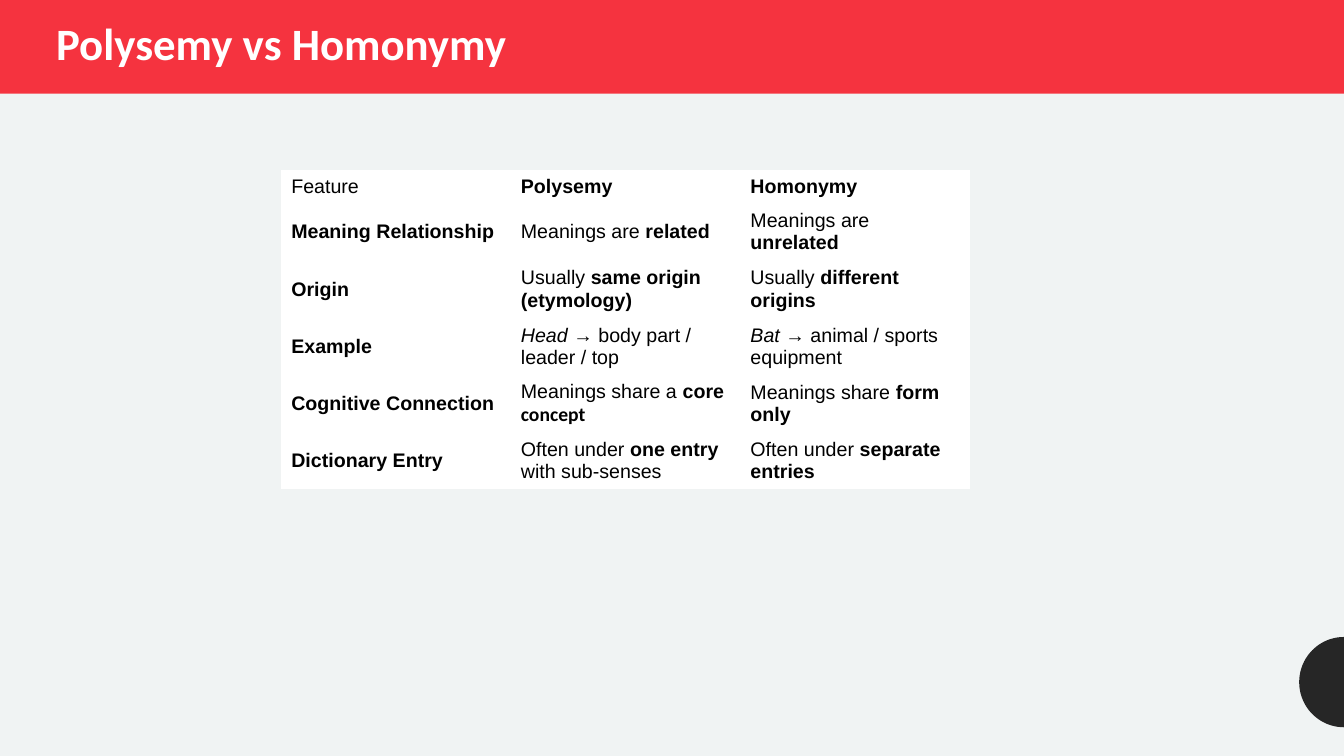
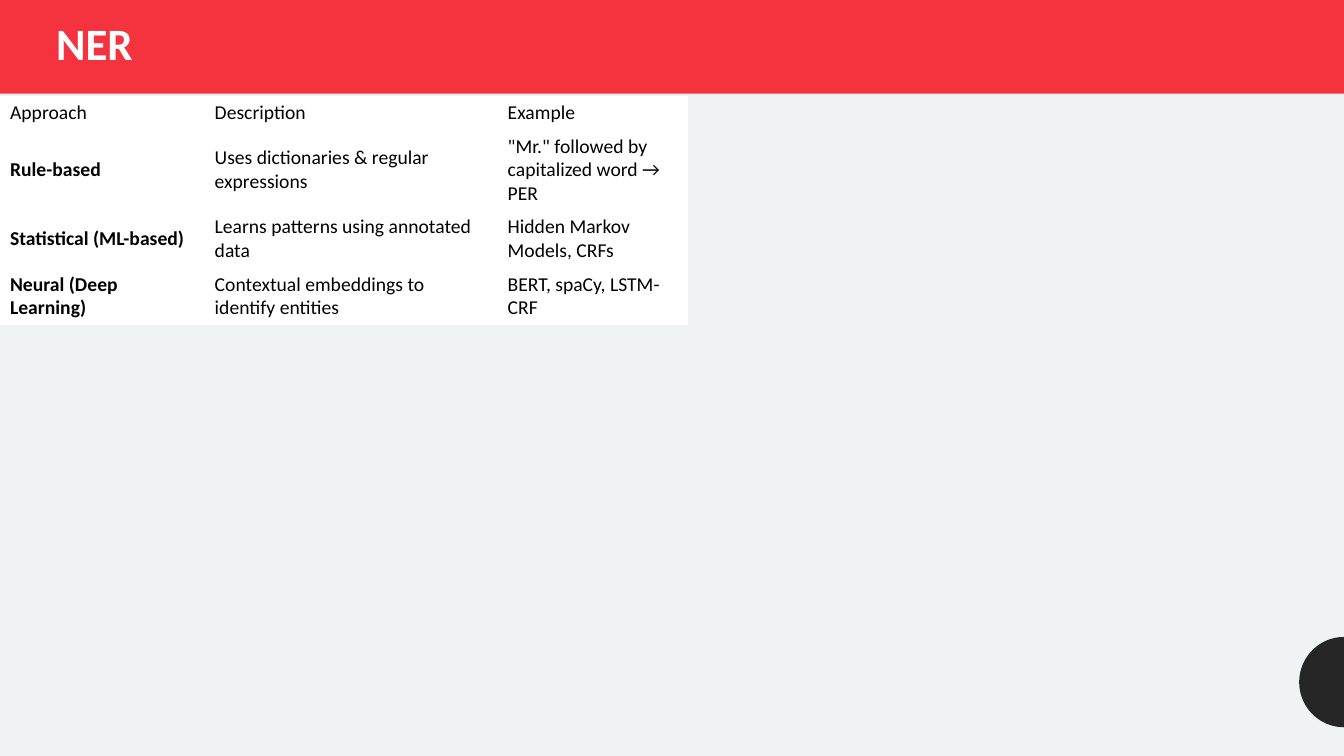
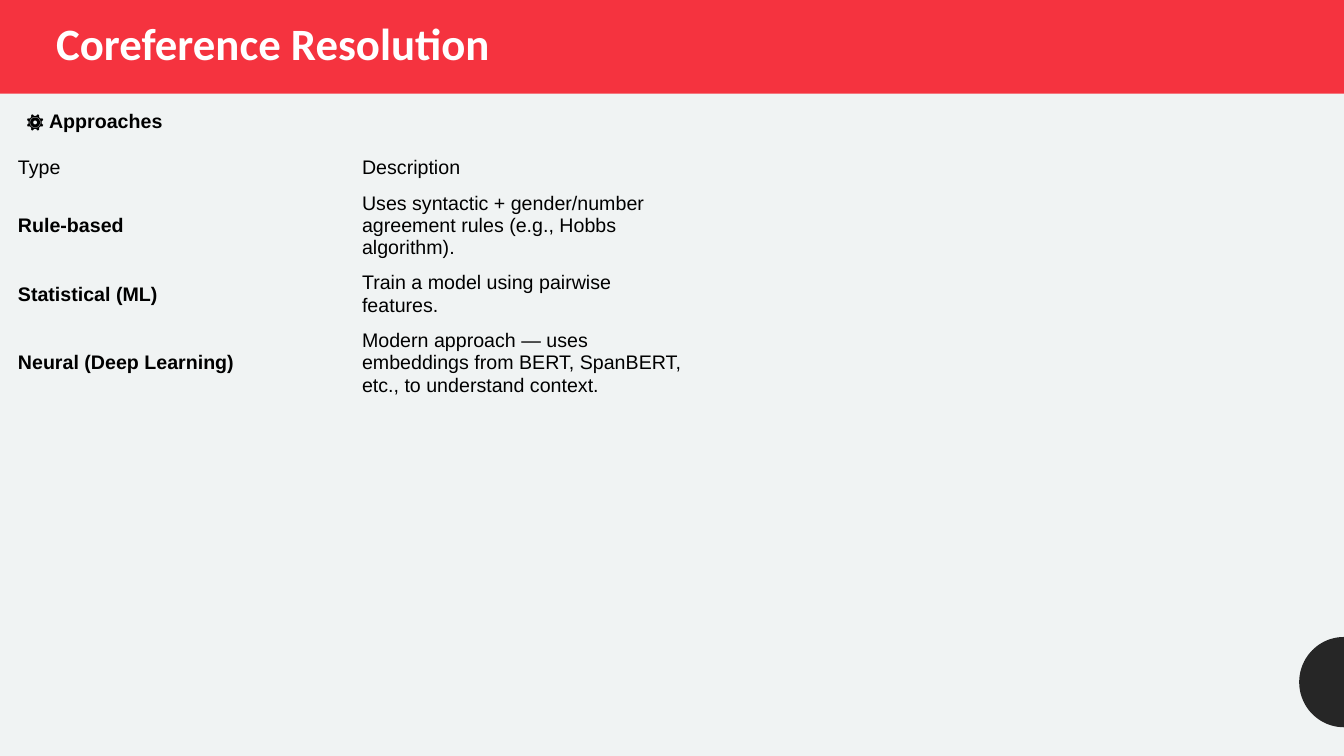
import math

import pptx
import pptx.dml.color
import pptx.enum.shapes
import pptx.enum.text
import pptx.util

Pt = pptx.util.Pt

SLIDE_WIDTH, SLIDE_HEIGHT = 960, 540
BACKGROUND, RED, DARK, WHITE, BLACK = "F0F3F3", "F5333F", "262626", "FFFFFF", "000000"
BAND_BOX = (0, 0, SLIDE_WIDTH, 67)
TITLE_BOX = (33, 13, 392.4, 40)
HALF_DISC_BOX = (928, 455, 32, 64.5)
TITLE_FORMAT = {"name": "Calibri", "size": Pt(32), "bold": True}
BODY_FORMAT = {"size": Pt(14), "bold": False, "italic": False}
NO_GRID_STYLE = "{2D5ABB26-0587-4C30-8999-92F81FD0307C}"


def color(hex_value):
    """Turn a hex string into a colour."""
    return pptx.dml.color.RGBColor.from_string(hex_value)


def bold(text, **extra):
    """Describe a bold run."""
    return text, {"bold": True, **extra}


def italic(text):
    """Describe an italic run."""
    return text, {"italic": True}


def paint(shape, hex_value):
    """Give a shape a plain fill with no line or shadow."""
    shape.shadow.inherit = False
    shape.fill.solid()
    shape.fill.fore_color.rgb = color(hex_value)
    shape.line.fill.background()


def add_runs(paragraph, content, base_format, hex_value):
    """Write a string, a run or a list of both into a paragraph."""
    for part in content if isinstance(content, list) else [content]:
        text, extra = (part, {}) if isinstance(part, str) else part
        run = paragraph.add_run()
        run.text = text
        for name, value in {**base_format, **extra}.items():
            setattr(run.font, name, value)
        run.font.color.rgb = color(hex_value)


def add_text(slide, box, content, text_format, hex_value, anchor, line_spacing=1.0):
    """Place one wrapped line of text in a box."""
    frame = slide.shapes.add_textbox(*map(Pt, box)).text_frame
    frame.word_wrap = True
    frame.vertical_anchor = anchor
    paragraph = frame.paragraphs[0]
    paragraph.line_spacing = line_spacing
    add_runs(paragraph, content, text_format, hex_value)


def add_half_disc(slide, box, steps=52):
    """Draw the left half of a disc that fills a box."""
    left, top, width, height = box
    points = []
    for step in range(steps + 1):
        angle = math.pi * step / steps
        x = left + width * (1 - math.sin(angle))
        y = top + height * (1 - math.cos(angle)) / 2
        points.append((Pt(x), Pt(y)))
    builder = slide.shapes.build_freeform(*points[0])
    builder.add_line_segments(points[1:], close=True)
    paint(builder.convert_to_shape(), DARK)


def add_titled_slide(presentation, title):
    """Add a slide with the corner disc, the title band and its title."""
    slide = presentation.slides.add_slide(presentation.slide_layouts[6])
    add_half_disc(slide, HALF_DISC_BOX)
    band = slide.shapes.add_shape(
        pptx.enum.shapes.MSO_SHAPE.RECTANGLE, *map(Pt, BAND_BOX))
    paint(band, RED)
    add_text(slide, TITLE_BOX, title, TITLE_FORMAT, WHITE,
             pptx.enum.text.MSO_ANCHOR.MIDDLE, 0.9)
    return slide


def add_plain_table(slide, origin, widths, heights, rows, font_name, fill=None):
    """Place a table without grid lines at a left and top."""
    size = (sum(widths), sum(heights))
    table = slide.shapes.add_table(
        len(rows), len(widths), *map(Pt, origin + size)).table
    table.first_row = table.horz_banding = False
    table._tbl.tblPr[0].text = NO_GRID_STYLE
    for column, width in zip(table.columns, widths):
        column.width = Pt(width)
    for row, height, contents in zip(table.rows, heights, rows):
        row.height = Pt(height)
        for cell, content in zip(row.cells, contents):
            cell.vertical_anchor = pptx.enum.text.MSO_ANCHOR.MIDDLE
            if fill:
                cell.fill.solid()
                cell.fill.fore_color.rgb = color(fill)
            else:
                cell.fill.background()
            add_runs(cell.text_frame.paragraphs[0], content,
                     {**BODY_FORMAT, "name": font_name}, BLACK)


def build_polysemy(presentation):
    """Compare polysemy with homonymy."""
    slide = add_titled_slide(presentation, "Polysemy vs Homonymy")
    rows = [
        ["Feature", bold("Polysemy"), bold("Homonymy")],
        [bold("Meaning Relationship"),
         ["Meanings are ", bold("related")],
         ["Meanings are ", bold("unrelated")]],
        [bold("Origin"),
         ["Usually ", bold("same origin (etymology)")],
         ["Usually ", bold("different origins")]],
        [bold("Example"),
         [italic("Head"), " → body part / leader / top"],
         [italic("Bat"), " → animal / sports equipment"]],
        [bold("Cognitive Connection"),
         ["Meanings share a ", bold("core "), bold("concept", name="Calibri")],
         ["Meanings share ", bold("form only")]],
        [bold("Dictionary Entry"),
         ["Often under ", bold("one entry"), " with sub-senses"],
         ["Often under ", bold("separate entries")]],
    ]
    add_plain_table(slide, (200.9, 121.2), [164] * 3, [23.6] + [40.9] * 5,
                    rows, "Arial", WHITE)


def build_entity_recognition(presentation):
    """List the approaches to named entity recognition."""
    slide = add_titled_slide(presentation, "NER")
    rows = [
        ["Approach", "Description", "Example"],
        [bold("Rule-based"), "Uses dictionaries & regular expressions",
         '"Mr." followed by capitalized word → PER'],
        [bold("Statistical (ML-based)"), "Learns patterns using annotated data",
         "Hidden Markov Models, CRFs"],
        [bold("Neural (Deep Learning)"), "Contextual embeddings to identify entities",
         "BERT, spaCy, LSTM-CRF"],
    ]
    add_plain_table(slide, (0, 68.4), [146.2, 209.3, 136], [16.8, 57.6, 40.9, 40.9],
                    rows, "Calibri", WHITE)


def build_coreference(presentation):
    """List the approaches to coreference resolution."""
    slide = add_titled_slide(presentation, "Coreference Resolution")
    add_text(slide, (11.5, 74.2, 480, 24.5), "⚙️ Approaches",
             {**BODY_FORMAT, "name": "Arial", "bold": True}, BLACK,
             pptx.enum.text.MSO_ANCHOR.TOP)
    rows = [
        ["Type", "Description"],
        [bold("Rule-based"),
         "Uses syntactic + gender/number agreement rules (e.g., Hobbs algorithm)."],
        [bold("Statistical (ML)"), "Train a model using pairwise features."],
        [bold("Neural (Deep Learning)"),
         "Modern approach — uses embeddings from BERT, SpanBERT, etc., "
         "to understand context."],
    ]
    add_plain_table(slide, (5.6, 108), [245.8] * 2, [23.6, 57.6, 40.9, 57.6],
                    rows, "Arial")


def main():
    """Build and save the presentation."""
    presentation = pptx.Presentation()
    presentation.slide_width = Pt(SLIDE_WIDTH)
    presentation.slide_height = Pt(SLIDE_HEIGHT)
    background = presentation.slide_master.background.fill
    background.solid()
    background.fore_color.rgb = color(BACKGROUND)
    build_polysemy(presentation)
    build_entity_recognition(presentation)
    build_coreference(presentation)
    presentation.save("out.pptx")


if __name__ == "__main__":
    main()
